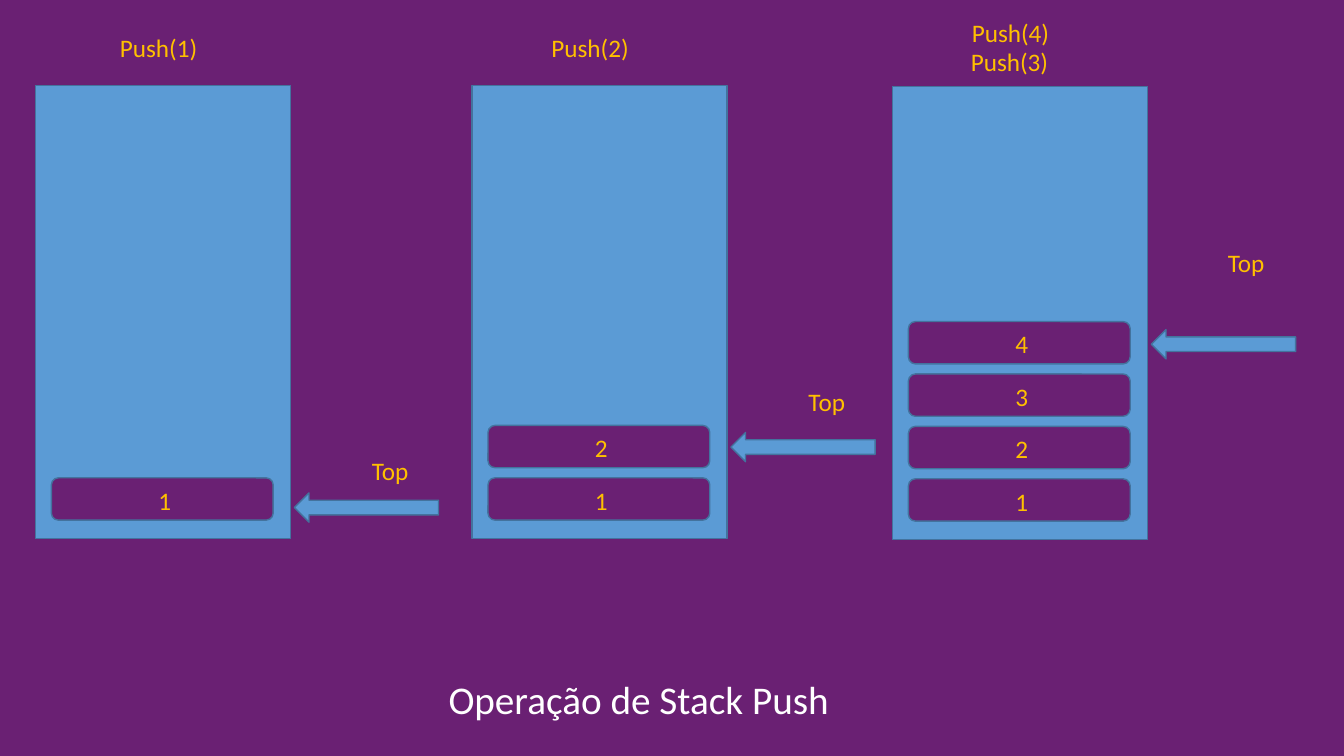
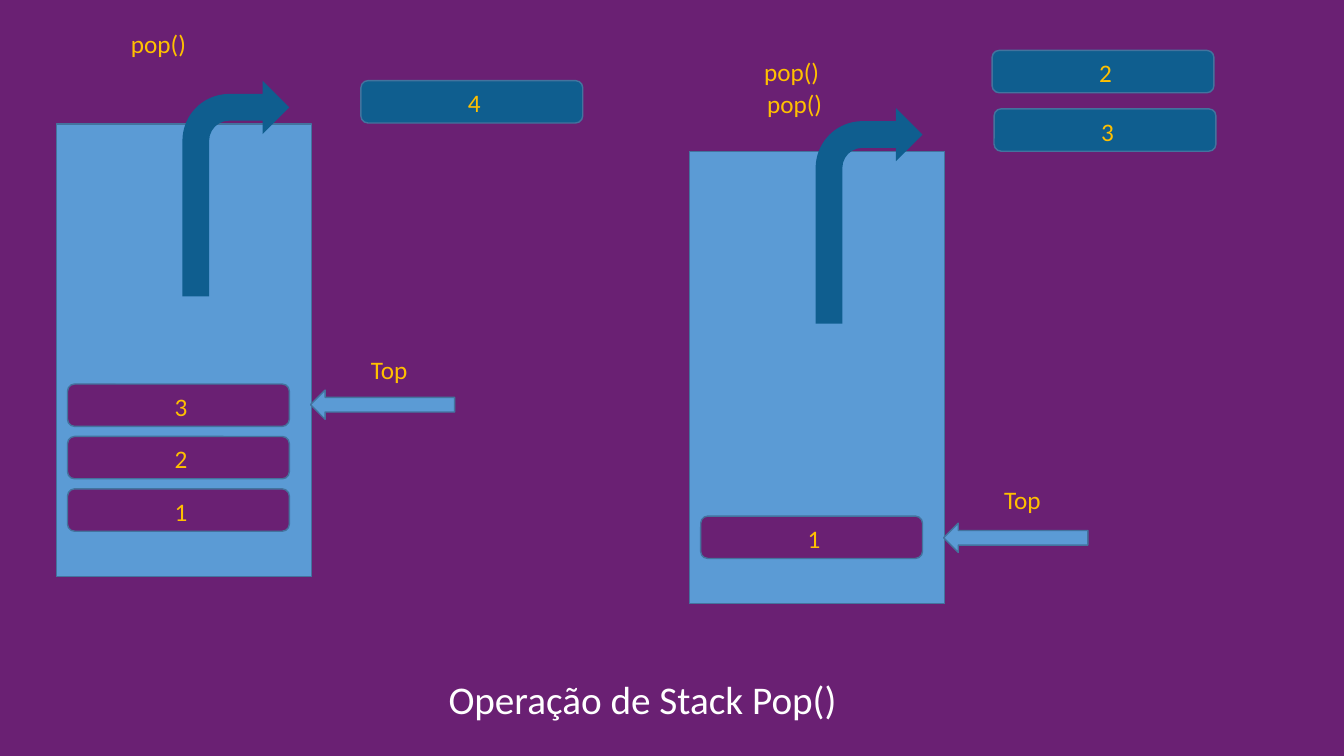
from dataclasses import dataclass

from pptx import Presentation
from pptx.dml.color import RGBColor
from pptx.enum.shapes import MSO_SHAPE
from pptx.enum.text import MSO_ANCHOR, PP_ALIGN
from pptx.util import Inches, Pt


@dataclass(frozen=True)
class Theme:
    background: str = "6A2073"
    stack: str = "5B9BD5"
    outline: str = "43739E"
    popped: str = "0F5E8F"
    label: str = "FFC000"
    title: str = "FFFFFF"
    font: str = "Calibri"
    label_size: int = 18
    title_size: int = 28


THEME = Theme()

# Content: positions in inches; items run from the bottom of the stack up
SLIDES = [
    {
        "title": "Operação de Stack Push",
        "block_inset": 0.16, "first_block": 3.89, "pointer_offset": 2.57,
        "stacks": [
            {"at": (0.35, 0.85), "items": ["1"], "pointer": 4.89, "top": (3.59, 4.47),
             "calls": [("Push(1)", 1.09, 0.27)]},
            {"at": (4.68, 0.85), "items": ["1", "2"], "pointer": 4.29, "top": (7.92, 3.78),
             "calls": [("Push(2)", 5.37, 0.27)]},
            {"at": (8.85, 0.86), "items": ["1", "2", "3", "4"], "pointer": 3.27,
             "top": (12.08, 2.4),
             "calls": [("Push(4)", 9.54, 0.12), ("Push(3)", 9.53, 0.41)]},
        ],
    },
    {
        "title": "Operação de Stack Pop()",
        "block_inset": 0.11, "first_block": 3.62, "pointer_offset": 2.52,
        "stacks": [
            {"at": (0.56, 1.23), "items": ["1", "2", "3"], "pointer": 3.87, "top": (3.58, 3.47),
             "calls": [("pop()", 1.2, 0.23)],
             "popped": [("4", 3.58, 0.8)]},
            {"at": (6.84, 1.5), "items": ["1"], "pointer": 5.19, "top": (9.86, 4.76),
             "calls": [("pop()", 7.48, 0.51), ("pop()", 7.51, 0.83)],
             "popped": [("3", 9.86, 1.08), ("2", 9.84, 0.5)]},
        ],
    },
]

# Shared sizes
STACK_SIZE = (2.53, 4.49)
BLOCK_SIZE = (2.2, 0.42)
BLOCK_PITCH = 0.52
POINTER_SIZE = (1.43, 0.29)
EXIT_ARROW_SIZE = (1.06, 2.14)
EXIT_ARROW_OFFSET = (1.25, -0.43)
TOP_SIZE = (0.62, 0.4)
CALL_SIZE = (1.15, 0.4)
TITLE_AT, TITLE_SIZE = (4.35, 6.65), (5.02, 0.57)


def write(frame, text, size, color, align=PP_ALIGN.LEFT):
    frame.word_wrap = True
    paragraph = frame.paragraphs[0]
    paragraph.text = text
    paragraph.alignment = align
    paragraph.font.name = THEME.font
    paragraph.font.size = Pt(size)
    paragraph.font.color.rgb = RGBColor.from_string(color)


def add_label(slide, text, at, extent, size=THEME.label_size, color=THEME.label):
    label = slide.shapes.add_textbox(*map(Inches, (*at, *extent)))
    write(label.text_frame, text, size, color)


def add_figure(slide, preset, at, extent, fill, outline=THEME.outline):
    figure = slide.shapes.add_shape(preset, *map(Inches, (*at, *extent)))
    figure.shadow.inherit = False
    figure.fill.solid()
    figure.fill.fore_color.rgb = RGBColor.from_string(fill)
    if outline:
        figure.line.color.rgb = RGBColor.from_string(outline)
        figure.line.width = Pt(1)
    else:
        figure.line.fill.background()
    return figure


def add_block(slide, text, at, fill):
    block = add_figure(slide, MSO_SHAPE.ROUNDED_RECTANGLE, at, BLOCK_SIZE, fill)
    frame = block.text_frame
    frame.margin_left, frame.margin_right = Inches(0.05), 0
    frame.margin_top, frame.margin_bottom = Inches(0.02), 0
    frame.vertical_anchor = MSO_ANCHOR.MIDDLE
    write(frame, text, THEME.label_size, THEME.label, PP_ALIGN.CENTER)


def add_stack(slide, stack, layout):
    left, top = stack["at"]
    add_figure(slide, MSO_SHAPE.RECTANGLE, (left, top), STACK_SIZE, THEME.stack)

    # Pointer to the top item
    add_figure(slide, MSO_SHAPE.LEFT_ARROW,
               (left + layout["pointer_offset"], stack["pointer"]), POINTER_SIZE, THEME.stack)
    add_label(slide, "Top", stack["top"], TOP_SIZE)

    # Items inside the stack
    for level, item in enumerate(stack["items"]):
        block_top = top + layout["first_block"] - level * BLOCK_PITCH
        add_block(slide, item, (left + layout["block_inset"], block_top), THEME.background)

    # Calls above the stack
    for call, *at in stack["calls"]:
        add_label(slide, call, at, CALL_SIZE)

    # Items that have left the stack
    popped = stack.get("popped", [])
    for item, *at in popped:
        add_block(slide, item, at, THEME.popped)
    if popped:
        dx, dy = EXIT_ARROW_OFFSET
        add_figure(slide, MSO_SHAPE.BENT_ARROW, (left + dx, top + dy), EXIT_ARROW_SIZE,
                   THEME.popped, outline=None)


def main():
    deck = Presentation()
    deck.slide_width, deck.slide_height = Inches(13.33), Inches(7.5)
    for layout in SLIDES:
        slide = deck.slides.add_slide(deck.slide_layouts[6])
        slide.background.fill.solid()
        slide.background.fill.fore_color.rgb = RGBColor.from_string(THEME.background)
        for stack in layout["stacks"]:
            add_stack(slide, stack, layout)
        add_label(slide, layout["title"], TITLE_AT, TITLE_SIZE, THEME.title_size, THEME.title)
    deck.save("out.pptx")


if __name__ == "__main__":
    main()
